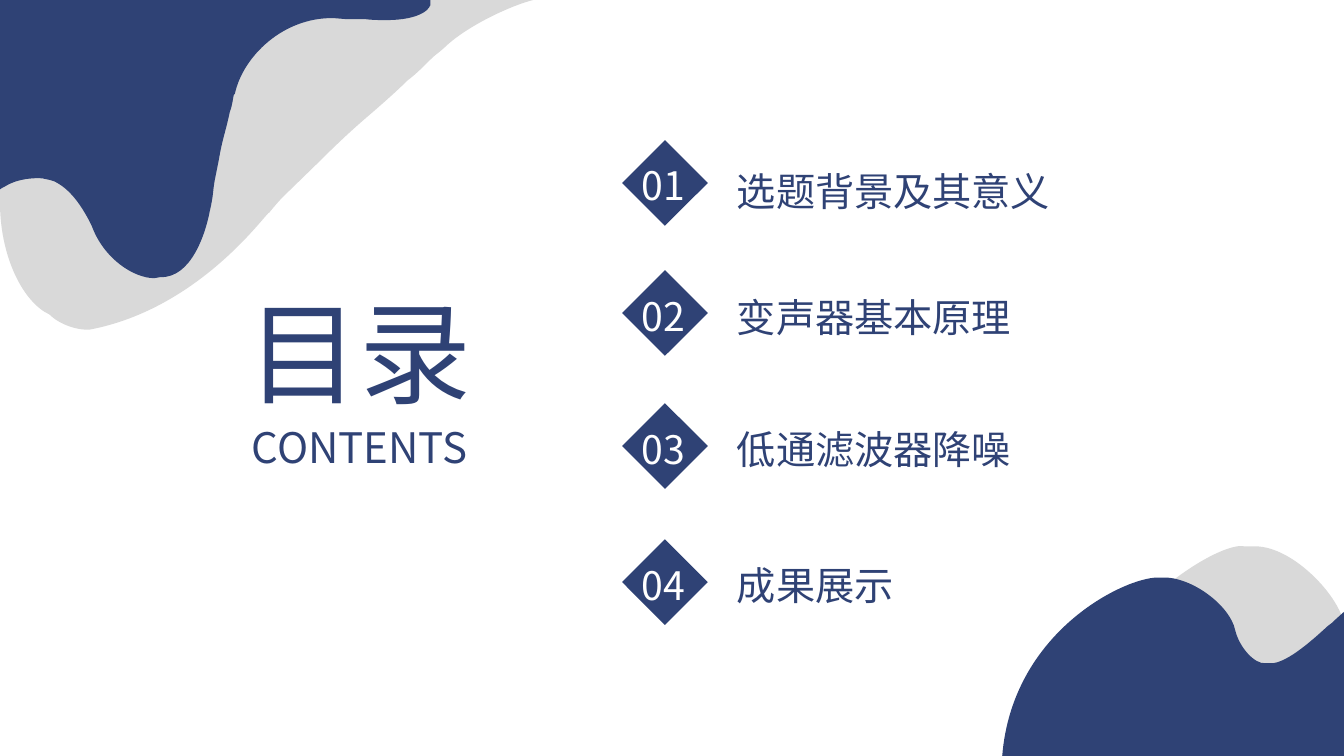
from dataclasses import dataclass

from lxml import etree
from pptx import Presentation
from pptx.dml.color import RGBColor
from pptx.enum.shapes import MSO_SHAPE
from pptx.enum.text import MSO_AUTO_SIZE, PP_ALIGN
from pptx.oxml.ns import qn
from pptx.util import Inches, Pt

DIAMOND = MSO_SHAPE.DIAMOND
GROW = MSO_AUTO_SIZE.SHAPE_TO_FIT_TEXT
LEFT, CENTER = PP_ALIGN.LEFT, PP_ALIGN.CENTER


@dataclass(frozen=True)
class Theme:
    navy: RGBColor = RGBColor(0x2F, 0x42, 0x75)
    grey: RGBColor = RGBColor(0xD9, 0xD9, 0xD9)
    white: RGBColor = RGBColor(0xFF, 0xFF, 0xFF)
    font: str = "Noto Sans CJK SC"
    title: int = 80
    subtitle: int = 30
    entry: int = 28


THEME = Theme()

# Outlines in inches from their box corner: two numbers draw a line, six a Bézier curve
TOP_GREY = [
    (0.1, 0), (0.13, 0.07, 0.22, 0.3, 0.21, 0.57), (0.22, 0.75, 0.16, 1.09, 0.09, 1.35),
    (0.02, 1.56, 0, 1.84, 0, 1.97), (-0.01, 2.54, 0.23, 3, 0.49, 3.12),
    (0.6, 3.23, 0.79, 3.28, 0.89, 3.27), (2, 3.06, 2.66, 2.08, 2.67, 2.11),
    (2.71, 2.06, 2.77, 1.99, 2.81, 1.95), (3.16, 1.61),
    (3.42, 1.35, 3.56, 1.23, 3.7, 1.11), (3.78, 1.04, 3.93, 0.91, 4.04, 0.8),
    (4.12, 0.74, 4.19, 0.67, 4.23, 0.63), (4.27, 0.59, 4.31, 0.55, 4.34, 0.53),
    (4.4, 0.48), (4.62, 0.26, 5.08, 0.05, 5.29, 0),
]
TOP_NAVY = [
    (0, 1.88), (0.01, 1.87, 0.05, 1.85, 0.05, 1.85), (0.21, 1.75, 0.42, 1.77, 0.42, 1.77),
    (0.46, 1.78, 0.48, 1.78, 0.54, 1.8), (0.62, 1.84, 0.76, 1.93, 0.91, 2.24),
    (1.03, 2.57, 1.33, 2.76, 1.53, 2.76), (1.59, 2.75),
    (1.9, 2.76, 2.04, 2.31, 2.08, 2.1), (2.12, 1.93, 2.11, 1.9, 2.13, 1.79), (2.17, 1.59),
    (2.21, 1.36, 2.23, 1.34, 2.28, 1.11), (2.31, 1.03, 2.31, 0.97, 2.32, 0.94),
    (2.33, 0.93), (2.41, 0.56, 2.81, 0.17, 3.31, 0.18), (3.43, 0.19),
    (3.49, 0.19, 3.58, 0.19, 3.62, 0.19), (3.69, 0.2, 3.78, 0.2, 3.81, 0.2),
    (3.83, 0.2), (4.18, 0.2, 4.28, 0.08, 4.27, 0.03), (4.27, 0), (0, 0),
]
BOTTOM_GREY = [
    (0.56, 2.08), (0.84, 0.72, 2.15, -0.06, 2.4, 0), (2.51, 0),
    (2.89, 0, 3.36, 0.51, 3.39, 0.78), (3.39, 2.08),
]
BOTTOM_NAVY = [
    (0, 2.08), (0.1, 0.84, 1.22, 0.31, 1.54, 0.31), (1.59, 0.31),
    (1.88, 0.3, 2.26, 0.59, 2.31, 0.83), (2.35, 1, 2.5, 1.17, 2.61, 1.16), (2.66, 1.16),
    (2.82, 1.17, 3.11, 0.9, 3.23, 0.79), (3.27, 0.76),
    (3.31, 0.72, 3.38, 0.66, 3.39, 0.65), (3.39, 2.08),
]

# Number, label, then the tops of the diamond, the number and the label
ENTRIES = [
    ("01", "选题背景及其意义", 1.39, 1.46, 1.52),
    ("02", "变声器基本原理", 2.68, 2.76, 2.77),
    ("03", "低通滤波器降噪", 4.0, 4.08, 4.08),
    ("04", "成果展示", 5.35, 5.43, 5.43),
]


def paint(shape, color):
    shape.fill.solid()
    shape.fill.fore_color.rgb = color
    shape.line.fill.background()
    shape.shadow.inherit = False


def add_outline(slide, left, top, outline):
    corners = [segment[-2:] for segment in outline]
    start, *rest = [(Inches(x), Inches(y)) for x, y in corners]
    builder = slide.shapes.build_freeform(*start)
    builder.add_line_segments(rest, close=True)
    shape = builder.convert_to_shape(Inches(left), Inches(top))

    # Bend each line that has control points into a Bézier curve
    min_x, min_y = (min(axis) for axis in zip(*corners))
    lines = list(shape._element.iter(qn("a:lnTo")))
    for line, segment in zip(lines, outline[1:]):
        if len(segment) == 6:
            line.tag = qn("a:cubicBezTo")
            for index in (0, 1):
                x, y = segment[2 * index:2 * index + 2]
                control = etree.Element(qn("a:pt"))
                control.set("x", str(Inches(x - min_x)))
                control.set("y", str(Inches(y - min_y)))
                line.insert(index, control)
    return shape


def add_waves(slide, left, top, grey_outline, navy_outline):
    paint(add_outline(slide, left, top, grey_outline), THEME.grey)
    paint(add_outline(slide, left, top, navy_outline), THEME.navy)


def add_text(slide, box, text, size, color, alignment=CENTER, spacing=None):
    text_frame = slide.shapes.add_textbox(*map(Inches, box)).text_frame
    text_frame.word_wrap = True
    text_frame.auto_size = GROW
    text_frame.text = text
    paragraph = text_frame.paragraphs[0]
    paragraph.alignment = alignment
    paragraph.line_spacing = spacing
    font = paragraph.runs[0].font
    font.size = Pt(size)
    font.color.rgb = color
    font.name = THEME.font
    # Chinese characters take their typeface from a:ea
    properties = paragraph.runs[0]._r.get_or_add_rPr()
    etree.SubElement(properties, qn("a:ea")).set("typeface", THEME.font)


def add_heading(slide, left, top):
    add_text(slide, (left, top + 1.37, 3.09, 0.6), "CONTENTS", THEME.subtitle, THEME.navy)
    add_text(slide, (left + 0.2, top, 2.7, 1.45), "目录", THEME.title, THEME.navy)


def add_label(slide, left, top, label):
    add_text(slide, (left, top, 3.85, 0.66), label, THEME.entry, THEME.navy, LEFT, 1.2)


def add_number(slide, left, top, number, number_top):
    diamond = slide.shapes.add_shape(DIAMOND, *map(Inches, (left, top, 0.85, 0.85)))
    paint(diamond, THEME.navy)
    add_text(slide, (left, number_top, 0.82, 0.66), number,
             THEME.entry, THEME.white, spacing=1.2)


def add_contents_slide(presentation):
    slide = presentation.slides.add_slide(presentation.slide_layouts[6])
    # Corner waves
    add_waves(slide, 0, 0, TOP_GREY, TOP_NAVY)
    add_waves(slide, 9.94, 5.42, BOTTOM_GREY, BOTTOM_NAVY)
    # Heading
    add_heading(slide, 2.02, 2.76)
    # Labels, then numbered diamonds
    for _, label, _, _, label_top in ENTRIES:
        add_label(slide, 7.21, label_top, label)
    for number, _, top, number_top, _ in ENTRIES:
        add_number(slide, 6.17, top, number, number_top)


def main():
    presentation = Presentation()
    presentation.slide_width = Inches(13.33)
    presentation.slide_height = Inches(7.5)
    add_contents_slide(presentation)
    presentation.save("out.pptx")


if __name__ == "__main__":
    main()
